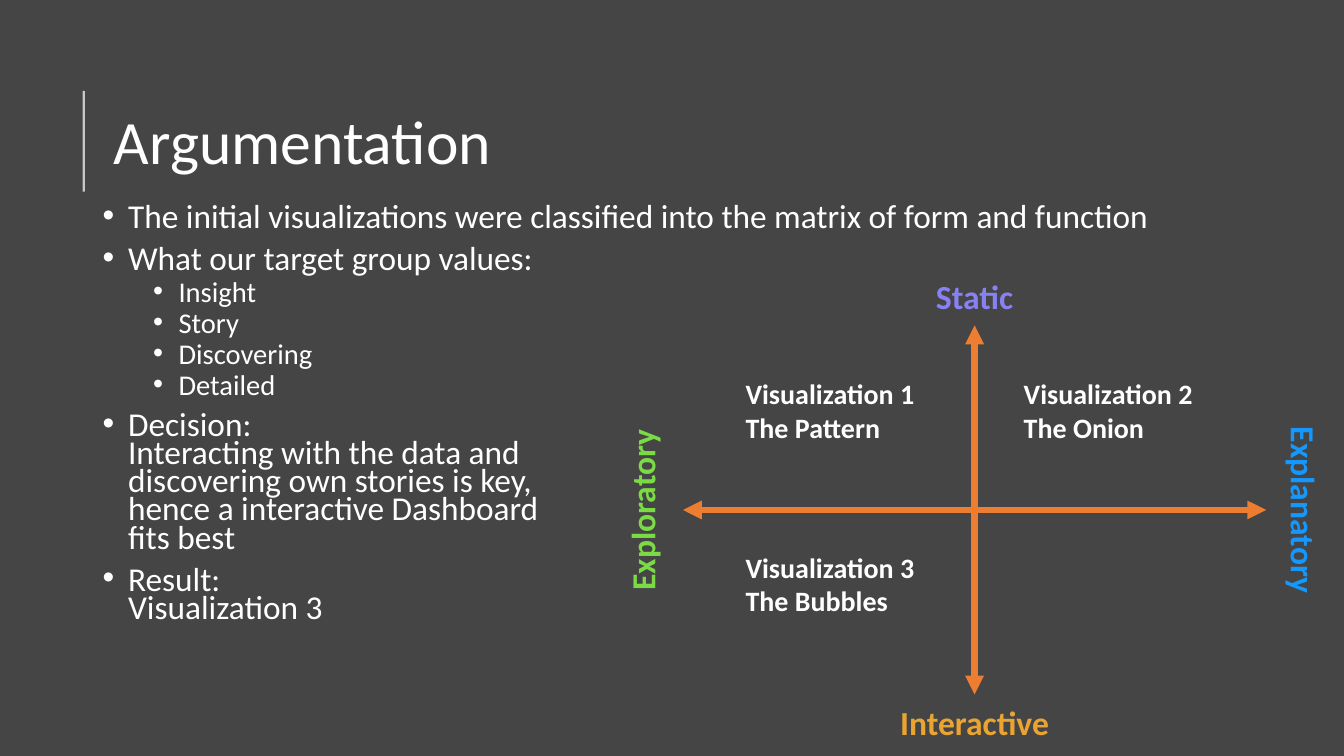
from dataclasses import dataclass

from lxml import etree
from pptx import Presentation
from pptx import util as u
from pptx.dml.color import RGBColor
from pptx.enum import shapes, text
from pptx.oxml.ns import qn


@dataclass
class Theme:
    font: str = "Calibri"
    background: str = "454545"
    ink: str = "FFFFFF"
    axis: str = "ED7D31"
    static: str = "8881F1"
    interactive: str = "E9A432"
    explanatory: str = "1498FD"
    exploratory: str = "7ADB45"
    title_size: float = 44
    point_size: float = 23.8
    detail_size: float = 20.4
    label_size: float = 24
    quadrant_size: float = 20


theme = Theme()
deck = Presentation()
deck.slide_width, deck.slide_height = u.Cm(33.87), u.Cm(19.05)
page = deck.slides.add_slide(deck.slide_layouts[6])
page.background.fill.solid()
page.background.fill.fore_color.rgb = RGBColor.from_string(theme.background)


def add_box(left, top, width, height, paragraphs, size, color=theme.ink, bold=False, **frame_format):
    box = page.shapes.add_textbox(*map(u.Cm, (left, top, width, height)))
    frame = box.text_frame
    for name, value in {"word_wrap": True, **frame_format}.items():
        setattr(frame, name, value)
    for index, content in enumerate(paragraphs):
        para = frame.paragraphs[0] if index == 0 else frame.add_paragraph()
        para.text = content.replace("\n", "\v")
        for span in para.runs:
            for name, value in {"name": theme.font, "size": u.Pt(size), "bold": bold}.items():
                setattr(span.font, name, value)
            span.font.color.rgb = RGBColor.from_string(color)
    return box


def add_line(start_x, start_y, end_x, end_y, color, width):
    line = page.shapes.add_connector(
        shapes.MSO_CONNECTOR.STRAIGHT, *map(u.Cm, (start_x, start_y, end_x, end_y)))
    line.line.color.rgb = RGBColor.from_string(color)
    line.line.width = u.Pt(width)
    etree.SubElement(line._element.spPr, qn("a:effectLst"))
    return line


title = add_box(2.62, 1.98, 28.93, 3.33, ["Argumentation"], theme.title_size,
                vertical_anchor=text.MSO_ANCHOR.MIDDLE)
title.text_frame.paragraphs[0].line_spacing = 0.9

accent = add_line(2.11, 4.83, 2.11, 2.29, theme.ink, 1.5)
accent_color = accent._element.spPr.find(".//" + qn("a:srgbClr"))
etree.SubElement(accent_color, qn("a:alpha"), val="70000")

points = [
    (0, "The initial visualizations were classified into the matrix of form and function"),
    (0, "What our target group values:"),
    (1, "Insight"),
    (1, "Story"),
    (1, "Discovering"),
    (1, "Detailed"),
    (0, "Decision:\nInteracting with the data and\ndiscovering own stories is key,\n"
        "hence a interactive Dashboard\nfits best"),
    (0, "Result:\nVisualization 3"),
]
levels = [
    {"size": theme.point_size, "indent": 0.64, "before": 10},
    {"size": theme.detail_size, "indent": 1.91, "before": 5},
]
body = add_box(2.34, 5.08, 29.21, 12.09, [content for _, content in points], theme.point_size)
for index, (level, _) in enumerate(points):
    style = levels[level]
    para = body.text_frame.paragraphs[index]
    para_format = {
        "level": level,
        "line_spacing": 0.7,
        "space_before": u.Pt(style["before"] if index else 0),
    }
    for name, value in para_format.items():
        setattr(para, name, value)
    properties = para._p.get_or_add_pPr()
    properties.set("marL", str(u.Cm(style["indent"])))
    properties.set("indent", str(u.Cm(-0.64)))
    etree.SubElement(properties, qn("a:buFont"), typeface="Arial")
    etree.SubElement(properties, qn("a:buChar"), char="•")
    for span in para.runs:
        span.font.size = u.Pt(style["size"])

center_x, center_y = 24.56, 12.85
for reach_x, reach_y in [(7.35, 0), (0, 4.65)]:
    axis = add_line(center_x - reach_x, center_y - reach_y,
                    center_x + reach_x, center_y + reach_y, theme.axis, 4.5)
    outline = axis._element.spPr.find(qn("a:ln"))
    for end in ("a:headEnd", "a:tailEnd"):
        etree.SubElement(outline, qn(end), type="triangle")

label_height = 1.27
labels = [
    ("Static", center_x, 7.47, 2.67, 0, theme.static),
    ("Interactive", center_x, 18.21, 4.57, 0, theme.interactive),
    ("Explanatory", 32.87, center_y, 4.78, 90, theme.explanatory),
    ("Exploratory", 16.18, center_y, 4.78, 270, theme.exploratory),
]
for content, middle_x, middle_y, width, rotation, color in labels:
    label = add_box(middle_x - width / 2, middle_y - label_height / 2, width, label_height,
                    [content], theme.label_size, color, True,
                    auto_size=text.MSO_AUTO_SIZE.SHAPE_TO_FIT_TEXT)
    label.rotation = rotation
    label.text_frame.paragraphs[0].alignment = text.PP_ALIGN.CENTER

left_column, right_column = 18.54, 25.55
upper_row, lower_row = 9.37, 13.74
quadrants = [
    ("Visualization 2\nThe Onion", right_column, upper_row),
    ("Visualization 3\nThe Bubbles", left_column, lower_row),
    ("Visualization 1\nThe Pattern", left_column, upper_row),
]
for content, left, top in quadrants:
    add_box(left, top, 5.36, 1.96, [content], theme.quadrant_size, bold=True,
            auto_size=text.MSO_AUTO_SIZE.SHAPE_TO_FIT_TEXT)

deck.save("out.pptx")
